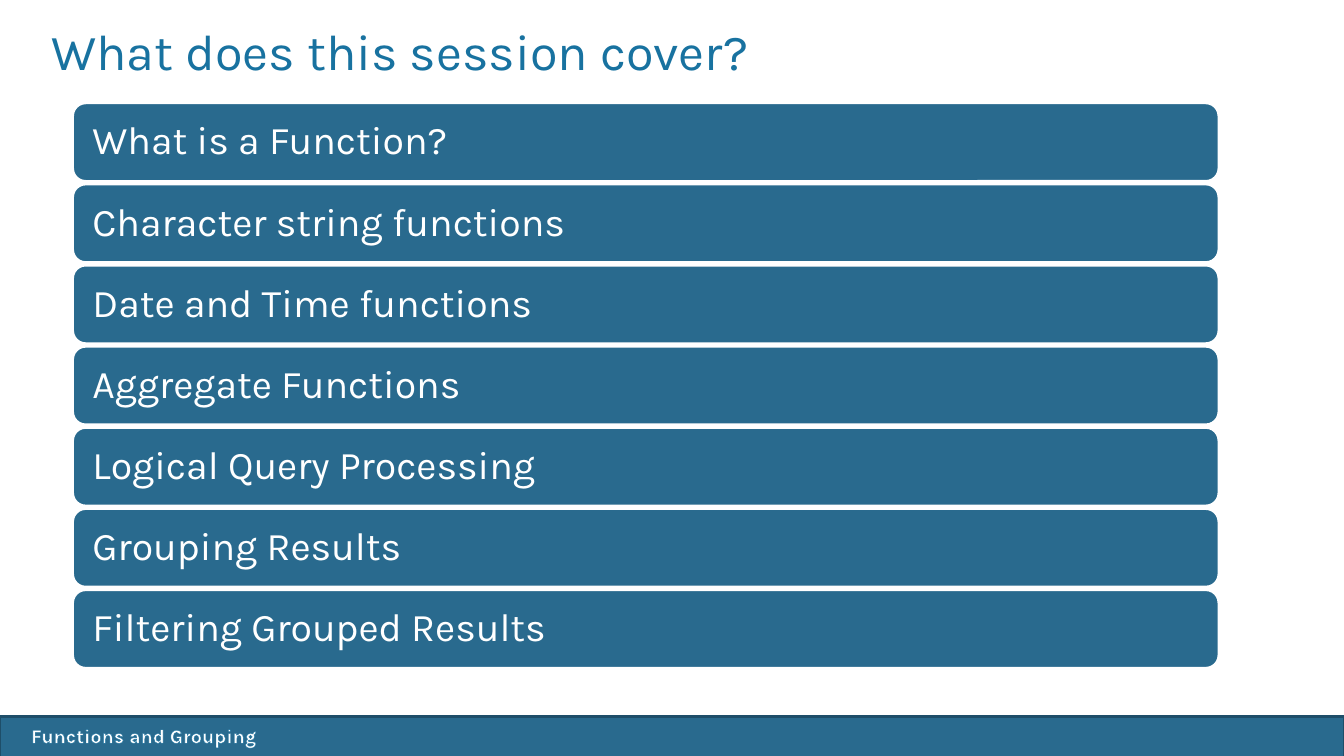
from lxml import etree
from pptx import Presentation
from pptx import util as u
from pptx.dml.color import RGBColor
from pptx.enum import shapes, text
from pptx.oxml.ns import qn

WIDE, HIGH = 13.33, 7.5
FONT = "Karla"
INK = {"bar": "296A8E", "edge": "1E4E69", "title": "1872A0", "white": "FFFFFF"}
TOPICS = [
    "What is a Function?",
    "Character string functions",
    "Date and Time functions",
    "Aggregate Functions",
    "Logical Query Processing",
    "Grouping Results",
    "Filtering Grouped Results",
]


def color(name):
    return RGBColor.from_string(INK[name])


def inches(box):
    return [u.Inches(v) for v in box]


def write(shape, words, size, ink="white", bold=False, anchor="TOP",
          inset=(0.1, 0.05, 0.1, 0.05), lead=None):
    frame = shape.text_frame
    frame.word_wrap = True
    frame.auto_size = text.MSO_AUTO_SIZE.NONE
    frame.vertical_anchor = getattr(text.MSO_ANCHOR, anchor)
    (frame.margin_left, frame.margin_top,
     frame.margin_right, frame.margin_bottom) = inches(inset)
    para = frame.paragraphs[0]
    para.alignment = text.PP_ALIGN.LEFT
    para.space_before = u.Pt(0)
    if lead:
        para.line_spacing = lead
    run = para.add_run()
    run.text = words
    font = run.font
    font.name, font.size, font.bold = FONT, u.Pt(size), bold
    font.color.rgb = color(ink)
    return run


def outline(run, ink, width):
    """Draw a thin line around the letters of a run."""
    line = etree.Element(qn("a:ln"), w=str(u.Pt(width)))
    fill = etree.SubElement(line, qn("a:solidFill"))
    etree.SubElement(fill, qn("a:srgbClr"), val=INK[ink])
    run.font._element.insert(0, line)


def panel(slide, kind, box, edge):
    shape = slide.shapes.add_shape(kind, *inches(box))
    shape.shadow.inherit = False
    shape.fill.solid()
    shape.fill.fore_color.rgb = color("bar")
    shape.line.color.rgb = color(edge)
    shape.line.width = u.Pt(2)
    return shape


def footer(slide, box, words):
    left, top, wide, high = box
    panel(slide, shapes.MSO_SHAPE.RECTANGLE, box, "edge")
    label = slide.shapes.add_textbox(
        *inches((left + 0.21, top + 0.02, wide * 0.45, high * 0.85)))
    outline(write(label, words, 14, bold=True), "title", 0.8)


def heading(slide, box, words):
    title = slide.shapes.title
    title.left, title.top, title.width, title.height = inches(box)
    write(title, words, 36, ink="title", lead=u.Pt(35))


def agenda(slide, box, topics):
    left, top, wide, high = box
    row = 0.78
    step = (high - row) / (len(topics) - 1)
    for i, topic in enumerate(topics):
        bar = panel(slide, shapes.MSO_SHAPE.ROUNDED_RECTANGLE,
                    (left, top + i * step, wide, row), "white")
        write(bar, topic, 28, anchor="MIDDLE", lead=0.9,
              inset=(0.16, 0.12, 0.16, 0.12))


def main():
    deck = Presentation()
    deck.slide_width, deck.slide_height = inches((WIDE, HIGH))
    slide = deck.slides.add_slide(deck.slide_layouts[5])
    footer(slide, (0, 7.11, WIDE, 0.4), "Functions and Grouping")
    heading(slide, (0.41, 0.26, 12, 1.25), "What does this session cover?")
    agenda(slide, (0.72, 1.02, 11.37, 5.61), TOPICS)
    deck.save("out.pptx")


if __name__ == "__main__":
    main()
